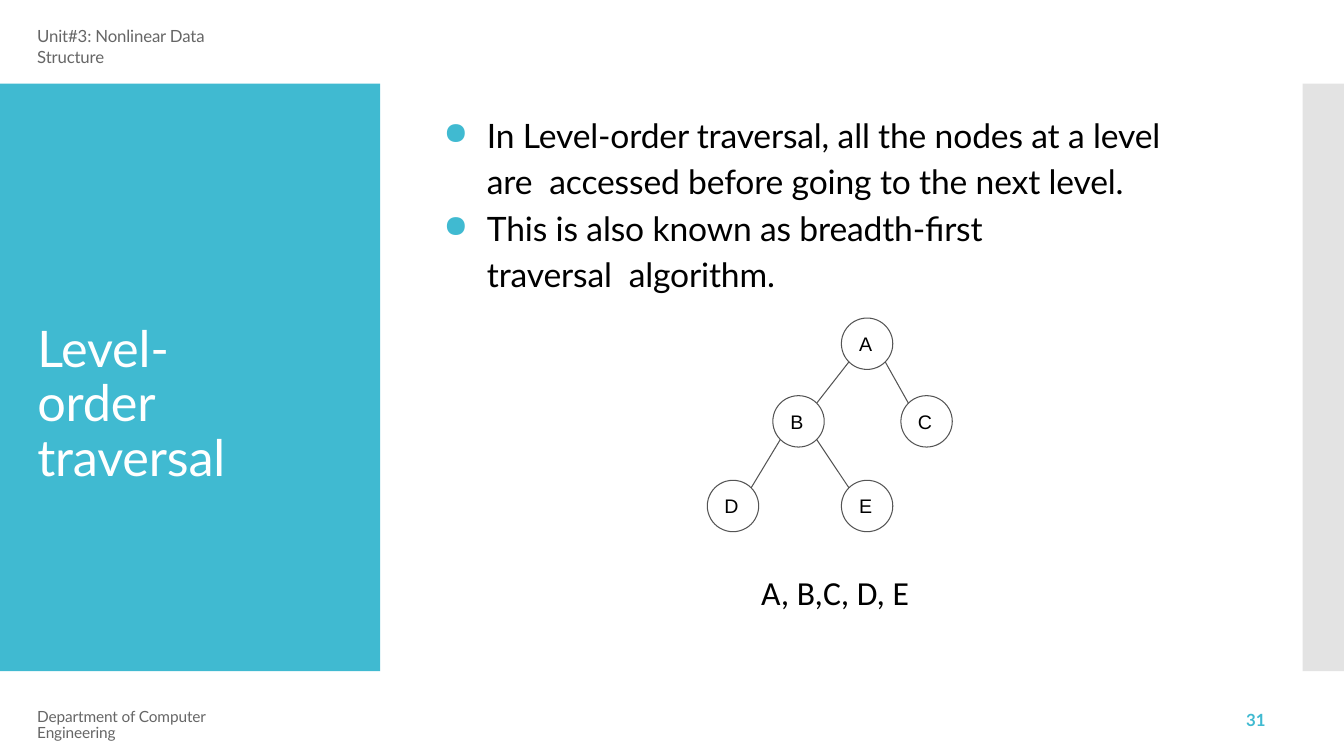
"""Build the level-order traversal slide with its binary tree."""
from math import sqrt

from lxml import etree
from pptx import Presentation
from pptx.dml.color import RGBColor
from pptx.enum.shapes import MSO_CONNECTOR, MSO_SHAPE
from pptx.enum.text import MSO_ANCHOR, PP_ALIGN
from pptx.oxml.ns import qn
from pptx.util import Inches, Pt

RECT, OVAL = MSO_SHAPE.RECTANGLE, MSO_SHAPE.OVAL
LINE = MSO_CONNECTOR.STRAIGHT
CENTER, MIDDLE = PP_ALIGN.CENTER, MSO_ANCHOR.MIDDLE
HUES = {"teal": "40BAD1", "band": "C8C8C8", "edge": "545454",
        "gray": "666666", "white": "FFFFFF", "black": "000000"}
SIZE = 0.51
NODES = {"A": (8.6, 3.41), "B": (7.92, 4.18), "C": (9.19, 4.18),
         "D": (7.27, 5.02), "E": (8.6, 5.02)}
EDGES = ["AB", "AC", "BD", "BE"]
POINTS = ["In Level-order traversal, all the nodes at a level are  accessed "
          "before going to the next level.",
          "This is also known as breadth-ﬁrst traversal  algorithm."]


def hue(name):
    return RGBColor.from_string(HUES[name])


def add_tag(root, tag, **attrs):
    return etree.SubElement(root, qn(tag), attrs)


def style(para, font, size, color, bold=False, track=0):
    for run in para.runs:
        run.font.name, run.font.size = font, Pt(size)
        run.font.bold, run.font.color.rgb = bold, hue(color)
        if track:
            run.font._element.set("spc", str(track))


def add_panel(slide, left, width, color, alpha=None):
    panel = slide.shapes.add_shape(
        RECT, Inches(left), Inches(0.83), Inches(width), Inches(5.83))
    panel.shadow.inherit = False
    panel.fill.solid()
    panel.fill.fore_color.rgb = hue(color)
    panel.line.fill.background()
    if alpha:
        tint = panel._element.spPr.find(".//" + qn("a:srgbClr"))
        add_tag(tint, "a:alpha", val=str(alpha * 1000))


def add_text(slide, text, box, font, size, color, top=0, pitch=None,
             before=0, indent=0.01, wrap=True, **look):
    frame = slide.shapes.add_textbox(*map(Inches, box)).text_frame
    frame.word_wrap = wrap
    frame.margin_left = frame.margin_right = frame.margin_bottom = 0
    frame.margin_top = Inches(top)
    frame.text = text
    for para in frame.paragraphs:
        style(para, font, size, color, **look)
        para._p.get_or_add_pPr().set("marL", str(Inches(indent)))
        if pitch:
            para.line_spacing = pitch
    frame.paragraphs[0].space_before = Pt(before)
    return frame


def add_points(slide):
    frame = add_text(slide, "\n".join(POINTS), (4.38, 1.07, 7.31, 1.86),
                     "Lato", 24, "black", top=0.01, pitch=1.15, before=1,
                     indent=0.45, track=-10)
    for para in frame.paragraphs:
        props = para._p.get_or_add_pPr()
        props.set("indent", str(Inches(-0.43)))
        add_tag(add_tag(props, "a:buClr"), "a:srgbClr", val=HUES["teal"])
        add_tag(props, "a:buSzPct", val="92000")
        add_tag(props, "a:buChar", char="●")
    props.set("marR", str(Inches(1)))


def add_edge(slide, start, end):
    (x1, y1), (x2, y2) = NODES[start], NODES[end]
    gap = SIZE / 2 / sqrt(2)
    side = gap if x2 > x1 else -gap
    ends = x1 + side, y1 + gap, x2 - side, y2 - gap
    edge = slide.shapes.add_connector(LINE, *map(Inches, ends))
    edge.line.color.rgb, edge.line.width = hue("edge"), Pt(0.75)
    add_tag(edge._element.spPr, "a:effectLst")


def add_node(slide, name):
    x, y = NODES[name]
    box = x - SIZE / 2, y - SIZE / 2, SIZE, SIZE
    node = slide.shapes.add_shape(OVAL, *map(Inches, box))
    node.shadow.inherit = False
    node.fill.background()
    node.line.color.rgb, node.line.width = hue("edge"), Pt(0.75)
    frame = node.text_frame
    frame.margin_left = frame.margin_top = frame.margin_bottom = 0
    frame.margin_right = Inches(0.03)
    frame.vertical_anchor = MIDDLE
    frame.text = name
    frame.paragraphs[0].alignment = CENTER
    style(frame.paragraphs[0], "Arial", 14, "black")


def main():
    deck = Presentation()
    deck.slide_width, deck.slide_height = Inches(13.33), Inches(7.5)
    slide = deck.slides.add_slide(deck.slide_layouts[6])
    add_panel(slide, 0, 3.77, "teal")
    add_panel(slide, 12.92, 0.41, "band", alpha=50)
    add_text(slide, "Unit#3: Nonlinear Data Structure", (0.36, 0.25, 2.3, 0.23),
             "Lato", 12, "gray", top=0.01, before=1, track=-10)
    add_text(slide, "Level-order traversal", (0.36, 3.12, 2.41, 1.17),
             "Lato", 36, "white", top=0.08, pitch=Pt(39), before=5.8, track=-10)
    add_points(slide)
    for start, end in EDGES:
        add_edge(slide, start, end)
    for name in NODES:
        add_node(slide, name)
    add_text(slide, "A, B,C, D, E", (7.55, 5.62, 1.48, 0.5),
             "Calibri", 24, "black", top=0.05, indent=0, wrap=False)
    add_text(slide, "Department of Computer Engineering",
             (0.36, 7.04, 2.4, 0.18), "Lato", 11, "gray", pitch=Pt(11.4),
             track=-10)
    add_text(slide, "31", (12.32, 7.07, 0.26, 0.19), "Lato", 12, "teal",
             pitch=Pt(12.3), indent=0.04, bold=True)
    deck.save("out.pptx")


if __name__ == "__main__":
    main()
